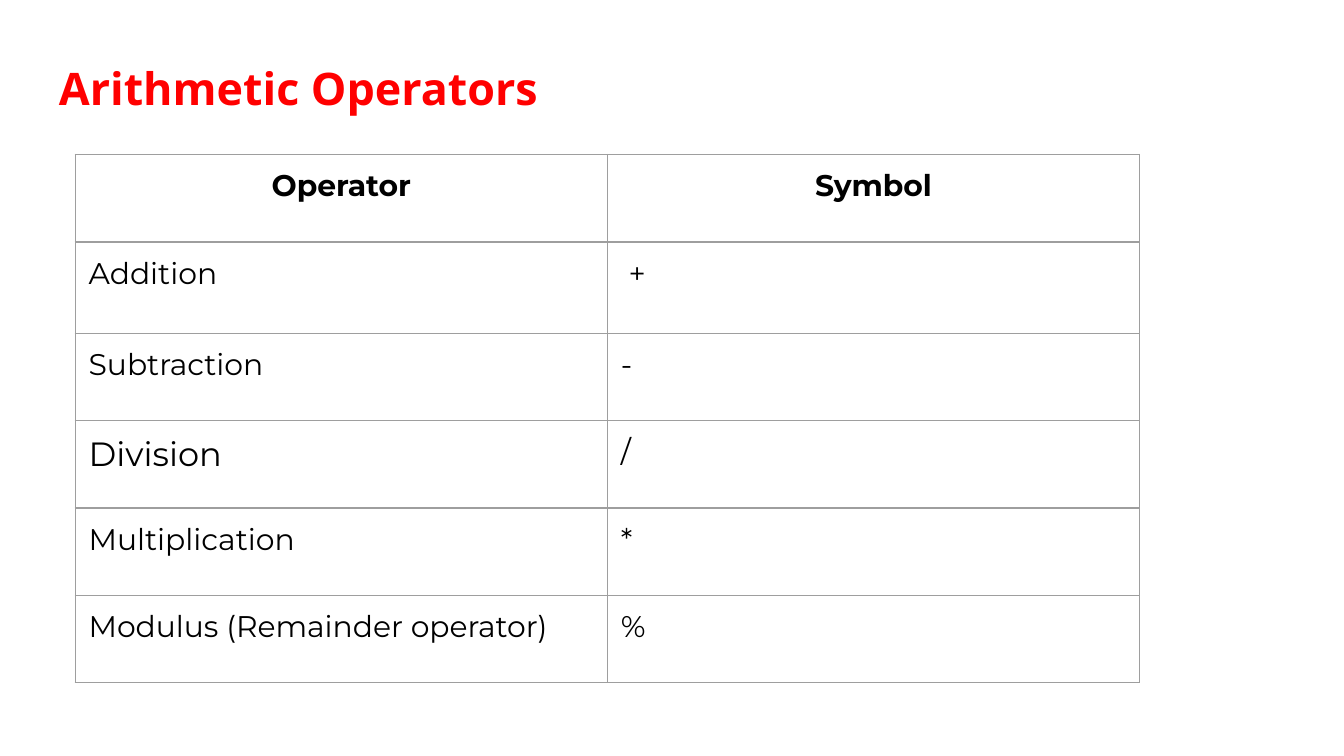
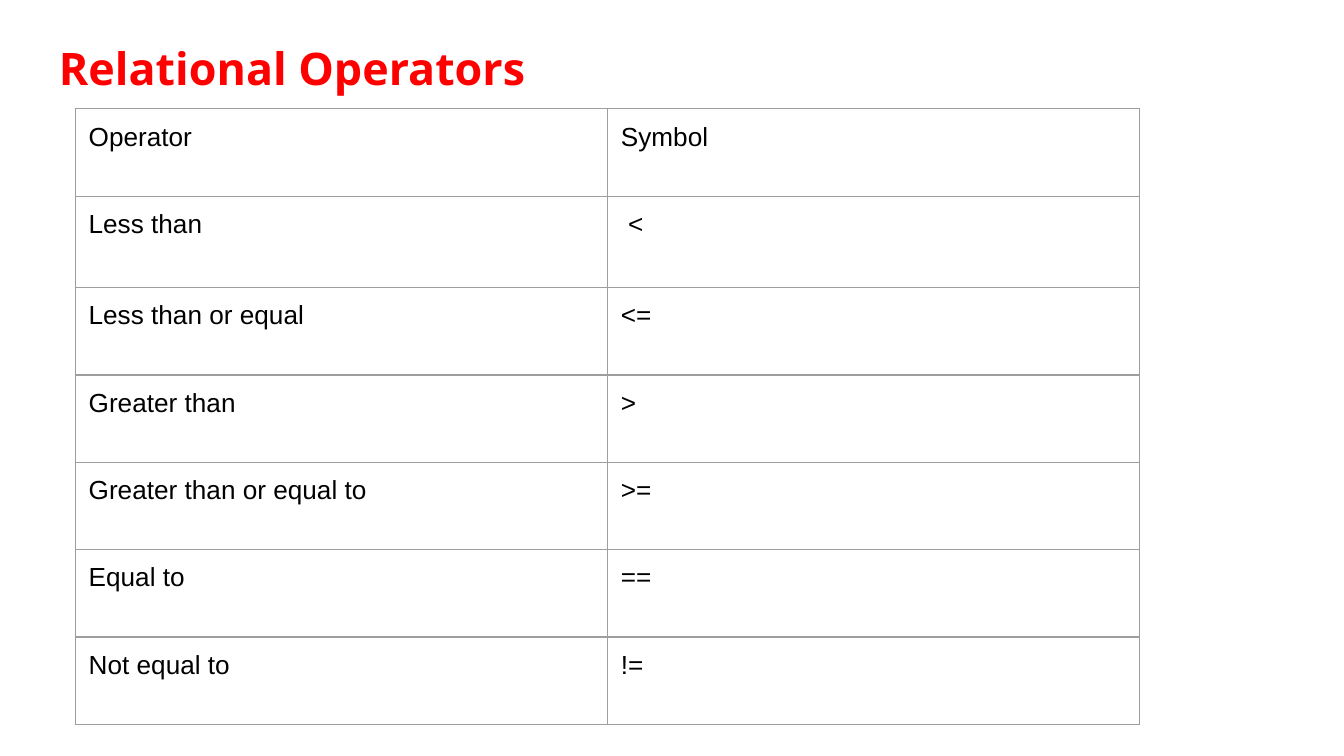
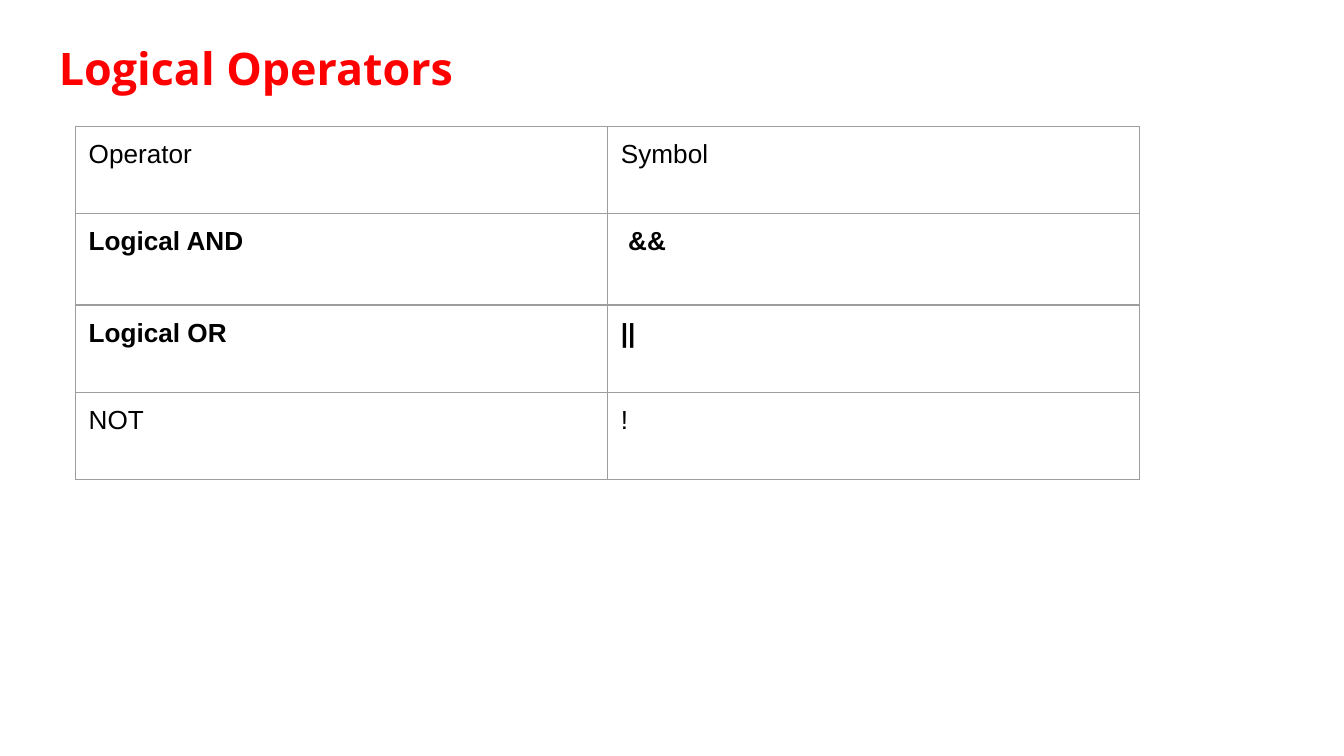
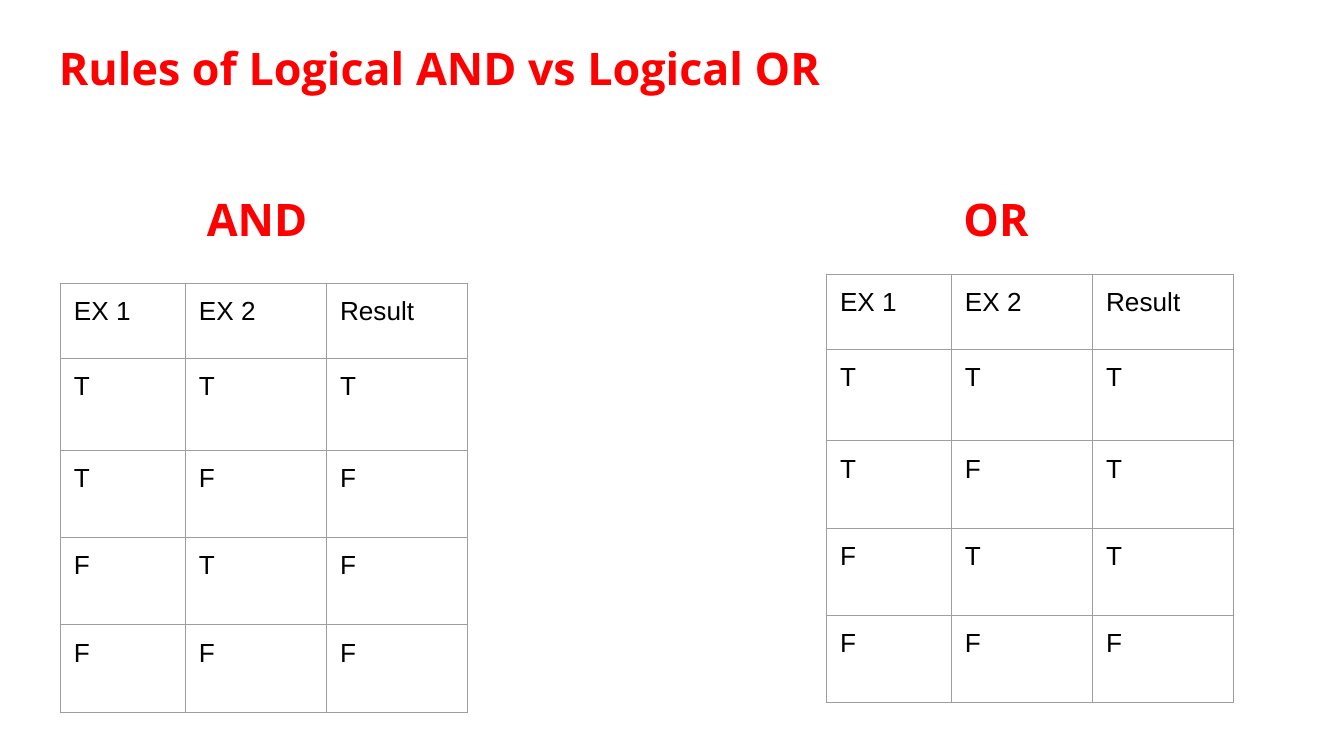
from collections import namedtuple

from lxml.etree import SubElement
from pptx import Presentation
from pptx.dml.color import RGBColor
from pptx.enum.text import MSO_ANCHOR, PP_ALIGN
from pptx.oxml.ns import qn
from pptx.util import Inches, Pt

Box = namedtuple("Box", "left top width height")

SLIDE = Box(0, 0, 10, 10 * 9 / 16)
RED, BLACK, GREY = "FF0000", "000000", "9E9E9E"
INSET = 0.1
ROW, FIRST_ROW = 0.65, 0.68
HEADING = dict(font="Open Sans", size=24, color=RED, bold=True,
               align=PP_ALIGN.JUSTIFY, line_spacing=1.5, before=10)
PLAIN = dict(font="Arial", size=14)
MODERN = dict(font="Montserrat", size=16)
BOLD = dict(bold=True)
HEADER = dict(bold=True, align=PP_ALIGN.CENTER)

ARITHMETIC = [
    [("Operator", HEADER), ("Symbol", HEADER)],
    ["Addition", " +"],
    ["Subtraction", "-"],
    [("Division", dict(size=18)), "/"],
    ["Multiplication", "*"],
    ["Modulus (Remainder operator)", "%"],
]
RELATIONAL = [
    ["Operator", "Symbol"],
    ["Less than", " <"],
    ["Less than or equal", "<="],
    ["Greater than", ">"],
    ["Greater than or equal to", ">="],
    ["Equal to", "=="],
    ["Not equal to", "!="],
]
LOGICAL = [
    ["Operator", "Symbol"],
    [("Logical AND", BOLD), (" &&", BOLD)],
    [("Logical OR", BOLD), ("||", BOLD)],
    ["NOT", "!"],
]


def rgb(value):
    """Turn a hex string into a colour."""
    return RGBColor.from_string(value)


def write(frame, text, font="Arial", size=14, color=BLACK, bold=False,
          align=PP_ALIGN.LEFT, line_spacing=None, before=0):
    """Write one formatted paragraph into a text frame."""
    paragraph = frame.paragraphs[0]
    paragraph.alignment = align
    paragraph.line_spacing = line_spacing
    paragraph.space_before = Pt(before)
    run = paragraph.add_run()
    run.text = text
    run.font.name = font
    run.font.size = Pt(size)
    run.font.bold = bold
    run.font.color.rgb = rgb(color)


def set_insets(holder):
    """Give a cell or text frame equal margins and top anchoring."""
    holder.margin_left = holder.margin_right = Inches(INSET)
    holder.margin_top = holder.margin_bottom = Inches(INSET)
    holder.vertical_anchor = MSO_ANCHOR.TOP


def add_heading(slide, box, text):
    """Place a red heading in a box."""
    frame = slide.shapes.add_textbox(*map(Inches, box)).text_frame
    frame.word_wrap = True
    set_insets(frame)
    write(frame, text, **HEADING)


def add_borders(cell):
    """Draw a thin grey line on each side of a cell."""
    properties = cell._tc.get_or_add_tcPr()
    for side in ("lnL", "lnR", "lnT", "lnB"):
        line = SubElement(properties, qn(f"a:{side}"), w=str(Pt(0.75)))
        fill = SubElement(line, qn("a:solidFill"))
        SubElement(fill, qn("a:srgbClr"), val=GREY)


def add_grid(slide, left, top, rows, columns, header_row=ROW, style=PLAIN):
    """Place a bordered table whose cells are texts or (text, format) pairs."""
    heights = [header_row, FIRST_ROW] + [ROW] * (len(rows) - 2)
    box = Box(left, top, sum(columns), sum(heights))
    table = slide.shapes.add_table(len(rows), len(columns), *map(Inches, box)).table
    table.first_row = table.horz_banding = False
    for column, width in zip(table.columns, columns):
        column.width = Inches(width)
    for row, height, entries in zip(table.rows, heights, rows):
        row.height = Inches(height)
        for cell, entry in zip(row.cells, entries):
            text, extra = (entry, {}) if isinstance(entry, str) else entry
            set_insets(cell)
            add_borders(cell)
            cell.fill.background()
            write(cell.text_frame, text, **{**style, **extra})


def add_titled_slide(prs, title, top=0):
    """Add a blank slide with its title band."""
    slide = prs.slides.add_slide(prs.slide_layouts[6])
    add_heading(slide, Box(0.34, top, SLIDE.width - 2 * 0.34, 0.63), title)
    return slide


def add_operator_slide(prs, title, rows, table_top, title_top=0, style=PLAIN):
    """Add a slide listing operators and their symbols."""
    slide = add_titled_slide(prs, title, title_top)
    add_grid(slide, 0.56, table_top, rows, [3.96, 3.96], style=style)


def add_truth_panel(slide, left, top, label, rule, label_indent, table_drop):
    """Place a label above the truth table worked out from a rule."""
    rows = [["EX 1", "EX 2", "Result"]]
    for first in (True, False):
        for second in (True, False):
            values = (first, second, rule((first, second)))
            rows.append(["T" if value else "F" for value in values])
    add_grid(slide, left, top + table_drop, rows, [0.93, 1.05, 1.05], header_row=0.56)
    add_heading(slide, Box(left + label_indent, top, 1.05, 0.98), label)


def main():
    """Build and save the presentation."""
    prs = Presentation()
    prs.slide_width, prs.slide_height = Inches(SLIDE.width), Inches(SLIDE.height)
    add_operator_slide(prs, "Arithmetic Operators", ARITHMETIC, 1.15,
                       title_top=0.15, style=MODERN)
    add_operator_slide(prs, "Relational Operators", RELATIONAL, 0.81)
    add_operator_slide(prs, "Logical Operators", LOGICAL, 0.94)
    rules = add_titled_slide(prs, "Rules of Logical AND vs Logical OR")
    add_truth_panel(rules, 0.45, 1.13, "AND", all, label_indent=0.99, table_drop=0.98)
    add_truth_panel(rules, 6.15, 1.13, "OR", any, label_indent=0.92, table_drop=0.91)
    prs.save("out.pptx")


if __name__ == "__main__":
    main()
